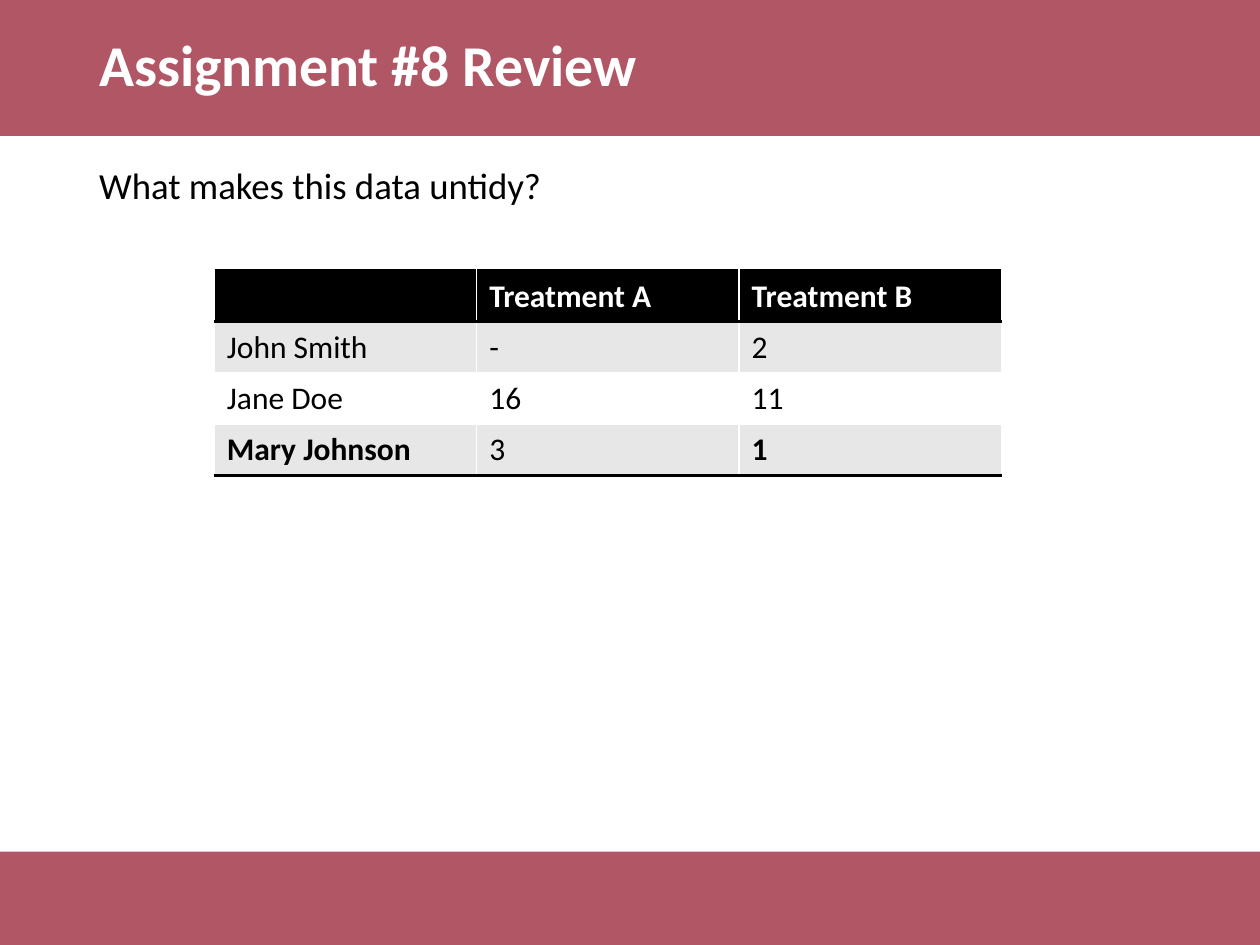
from dataclasses import dataclass

from lxml.etree import SubElement
from pptx import Presentation
from pptx.dml.color import RGBColor
from pptx.enum.shapes import MSO_SHAPE
from pptx.enum.text import MSO_ANCHOR
from pptx.oxml import parse_xml
from pptx.oxml.ns import nsdecls, qn
from pptx.util import Cm, Pt


@dataclass(frozen=True)
class Theme:
    font: str = "Calibri"
    band: str = "981E32"
    band_opacity: int = 75
    dark: str = "000000"
    light: str = "FFFFFF"
    stripe: str = "E7E7E7"
    title_size: float = 33
    body_size: float = 21
    table_size: float = 18
    rule_width: float = 2


@dataclass(frozen=True)
class Band:
    top: float
    height: float


@dataclass(frozen=True)
class TextBlock:
    text: str
    top: float
    height: float
    size: float
    color: str
    bold: bool = False
    anchor: MSO_ANCHOR = MSO_ANCHOR.TOP
    space_before: float = 0


THEME = Theme()
WIDTH, HEIGHT = 25.4, 19.05
MARGIN = 1.75
HEADER = Band(0, 2.74)
FOOTER = Band(17.17, 1.88)
TABLE_LEFT, TABLE_TOP = 4.32, 5.46
COLUMN_WIDTH, ROW_HEIGHT = 5.29, 1.03

TEXT_BLOCKS = [
    TextBlock("Assignment #8 Review", HEADER.top, HEADER.height, THEME.title_size,
              THEME.light, bold=True, anchor=MSO_ANCHOR.MIDDLE),
    TextBlock("What makes this data untidy?", 3.25, 13.92, THEME.body_size,
              THEME.dark, space_before=7.5),
]
TREATMENTS = [
    ["", "Treatment A", "Treatment B"],
    ["John Smith", "-", "2"],
    ["Jane Doe", "16", "11"],
    ["Mary Johnson", "3", "1"],
]
BOLD_CELLS = {(0, 1), (0, 2), (3, 0), (3, 2)}


def add_run(paragraph, text: str, size: float, color: str, bold: bool) -> None:
    run = paragraph.add_run()
    run.text = text
    run.font.name = THEME.font
    run.font.size = Pt(size)
    run.font.bold = bold
    run.font.color.rgb = RGBColor.from_string(color)


def add_band(slide, band: Band) -> None:
    shape = slide.shapes.add_shape(
        MSO_SHAPE.RECTANGLE, 0, Cm(band.top), Cm(WIDTH), Cm(band.height))
    shape.shadow.inherit = False
    shape.line.fill.background()
    shape.fill.solid()
    shape.fill.fore_color.rgb = RGBColor.from_string(THEME.band)
    color = shape.fill._xPr.find(qn("a:solidFill")).find(qn("a:srgbClr"))
    SubElement(color, qn("a:alpha")).set("val", str(THEME.band_opacity * 1000))


def add_text_block(slide, block: TextBlock) -> None:
    box = slide.shapes.add_textbox(
        Cm(MARGIN), Cm(block.top), Cm(WIDTH - 2 * MARGIN), Cm(block.height))
    frame = box.text_frame
    frame.word_wrap = True
    frame.vertical_anchor = block.anchor
    paragraph = frame.paragraphs[0]
    paragraph.line_spacing = 0.9
    paragraph.space_before = Pt(block.space_before)
    add_run(paragraph, block.text, block.size, block.color, block.bold)


def set_borders(cell, edges: list[str]) -> None:
    properties = cell._tc.get_or_add_tcPr()
    for position, edge in enumerate(edges):
        properties.insert(position, parse_xml(
            f'<a:ln{edge} {nsdecls("a")} w="{int(Pt(THEME.rule_width))}">'
            f'<a:solidFill><a:srgbClr val="{THEME.dark}"/></a:solidFill></a:ln{edge}>'))


def add_treatment_table(slide) -> None:
    row_count, column_count = len(TREATMENTS), len(TREATMENTS[0])
    table = slide.shapes.add_table(
        row_count, column_count, Cm(TABLE_LEFT), Cm(TABLE_TOP),
        Cm(COLUMN_WIDTH * column_count), Cm(ROW_HEIGHT * row_count)).table
    for row_index, row in enumerate(TREATMENTS):
        is_header = row_index == 0
        striped = THEME.stripe if row_index % 2 else THEME.light
        for column_index, text in enumerate(row):
            cell = table.cell(row_index, column_index)
            cell.vertical_anchor = MSO_ANCHOR.MIDDLE
            cell.fill.solid()
            cell.fill.fore_color.rgb = RGBColor.from_string(
                THEME.dark if is_header else striped)
            if text:
                add_run(cell.text_frame.paragraphs[0], text, THEME.table_size,
                        THEME.light if is_header else THEME.dark,
                        (row_index, column_index) in BOLD_CELLS)
            if is_header:
                set_borders(cell, ["T", "B"])
            elif row_index == row_count - 1:
                set_borders(cell, ["B"])


presentation = Presentation()
presentation.slide_width, presentation.slide_height = Cm(WIDTH), Cm(HEIGHT)
slide = presentation.slides.add_slide(presentation.slide_layouts[6])

# Coloured bands
for band in (FOOTER, HEADER):
    add_band(slide, band)

# Title and question
for block in TEXT_BLOCKS:
    add_text_block(slide, block)

# Treatment results
add_treatment_table(slide)

presentation.save("out.pptx")
